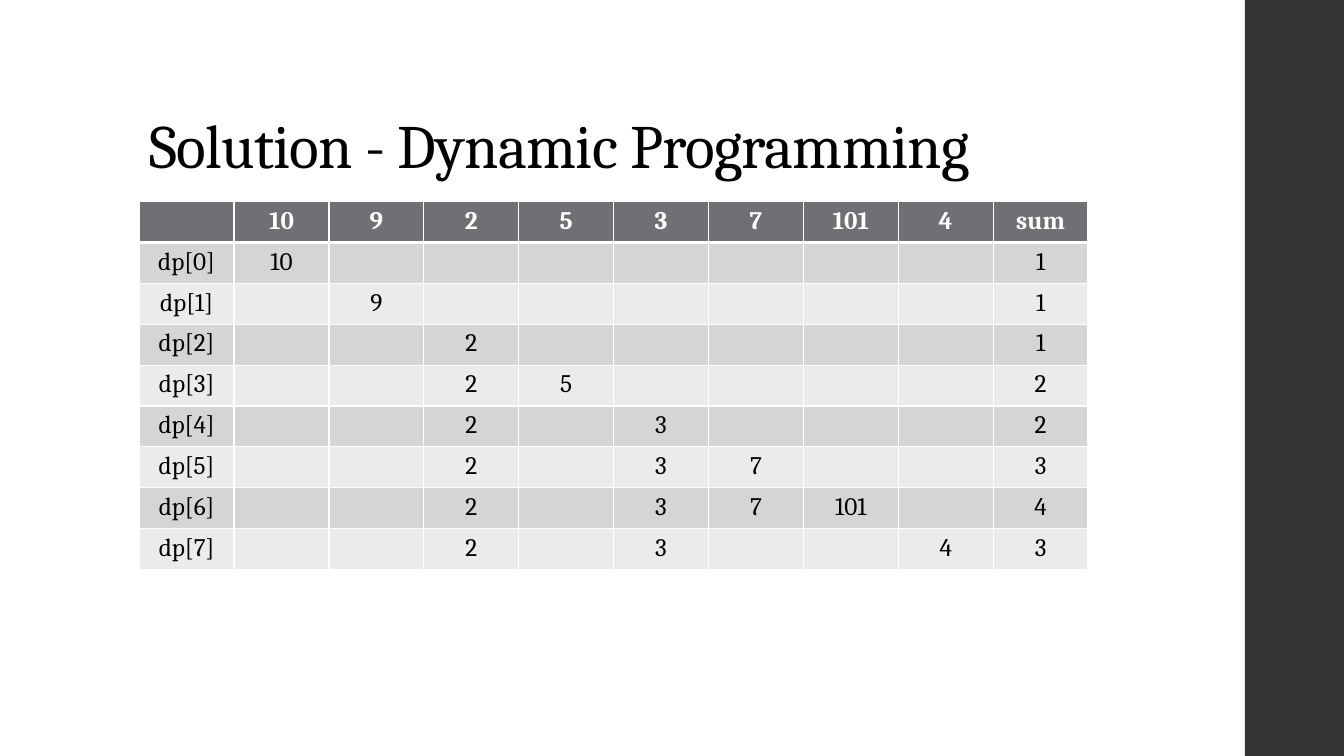
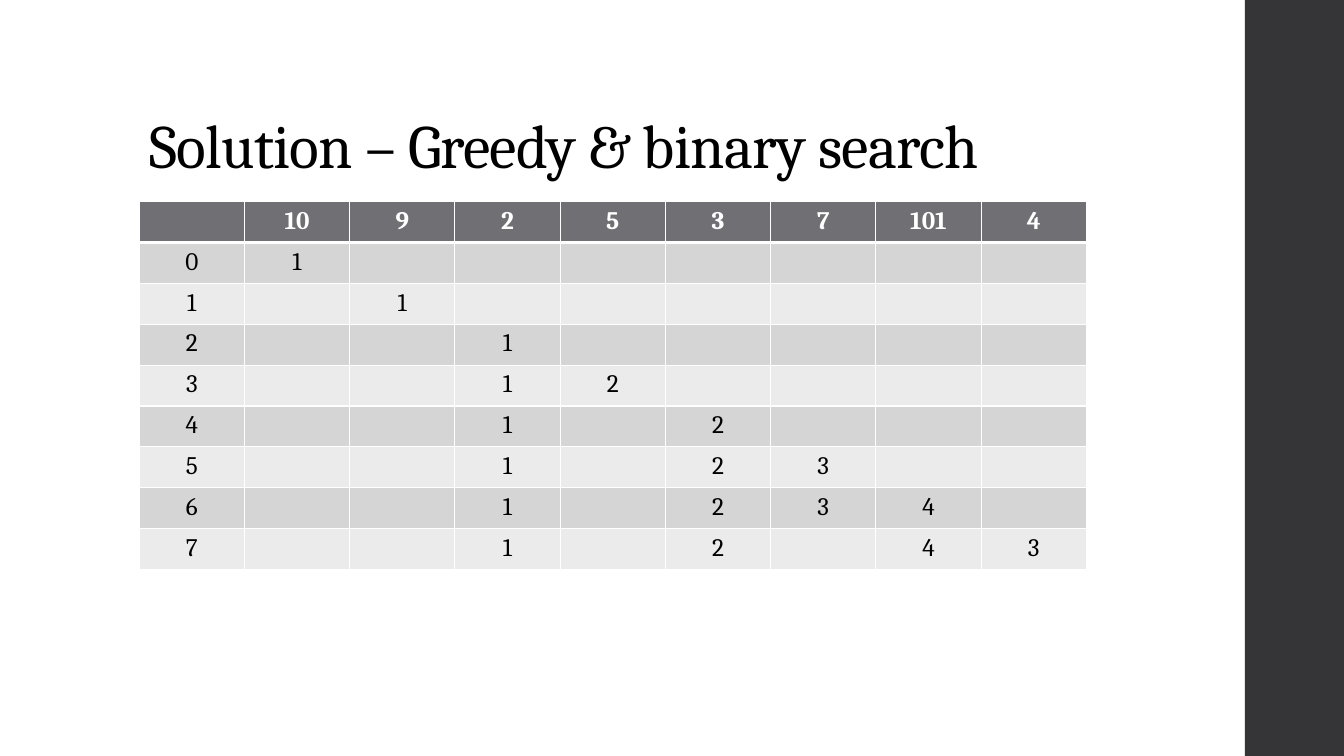
import lxml.etree
import pptx
import pptx.dml.color
import pptx.enum.shapes
import pptx.enum.text
import pptx.oxml.ns
import pptx.util

Pt = pptx.util.Pt
ALIGN = pptx.enum.text.PP_ALIGN
ANCHOR = pptx.enum.text.MSO_ANCHOR

SLIDE_W, SLIDE_H = 960, 540
LEFT = 99.4
BAND_LEFT = 889.2
TITLE_TOP, TITLE_W, TITLE_H = 28.8, 763.2, 104.4
TABLE_TOP, ROW_H = 144, 29.2

FONT = "Cambria"
WHITE, BLACK, BAND = "FFFFFF", "000000", "353537"
HEADER_FILL = "6F6F74"
ROW_FILLS = ("D5D5D6", "EBEBEB")
EMPTY = "-"

DP_ROWS = """
- 10 9 2 5 3 7 101 4 sum
dp[0] 10 - - - - - - - 1
dp[1] - 9 - - - - - - 1
dp[2] - - 2 - - - - - 1
dp[3] - - 2 5 - - - - 2
dp[4] - - 2 - 3 - - - 2
dp[5] - - 2 - 3 7 - - 3
dp[6] - - 2 - 3 7 101 - 4
dp[7] - - 2 - 3 - - 4 3
"""

GREEDY_ROWS = """
- 10 9 2 5 3 7 101 4
0 1 - - - - - - -
1 - 1 - - - - - -
2 - - 1 - - - - -
3 - - 1 2 - - - -
4 - - 1 - 2 - - -
5 - - 1 - 2 3 - -
6 - - 1 - 2 3 4 -
7 - - 1 - 2 - 4 3
"""


def rgb(value):
    """Turn a hex string into a colour."""
    return pptx.dml.color.RGBColor.from_string(value)


def write(tf, text, size=18, color=BLACK, bold=False, align=ALIGN.LEFT,
          line_spacing=None, tracking=None):
    """Write one formatted paragraph into a text frame."""
    p = tf.paragraphs[0]
    p.alignment = align
    if line_spacing is not None:
        p.line_spacing = line_spacing
    r = p.add_run()
    r.text = text
    r.font.name = FONT
    r.font.size = Pt(size)
    r.font.bold = bold
    r.font.color.rgb = rgb(color)
    if tracking is not None:
        r.font._element.set("spc", str(round(tracking * 100)))


def add_band(s):
    """Draw the dark band on the right edge of the slide."""
    sp = s.shapes.add_shape(pptx.enum.shapes.MSO_SHAPE.RECTANGLE, Pt(BAND_LEFT), 0,
                            Pt(SLIDE_W - BAND_LEFT), Pt(SLIDE_H))
    sp.shadow.inherit = False
    sp.fill.solid()
    sp.fill.fore_color.rgb = rgb(BAND)
    sp.line.fill.background()


def add_title(s, text):
    """Add the slide title, resting on the bottom of its box."""
    sp = s.shapes.add_textbox(Pt(LEFT), Pt(TITLE_TOP), Pt(TITLE_W), Pt(TITLE_H))
    tf = sp.text_frame
    tf.word_wrap = True
    tf.vertical_anchor = ANCHOR.BOTTOM
    write(tf, text, size=44, line_spacing=0.9, tracking=-0.5)


def set_borders(cell, top=1, bottom=1):
    """Give a cell white borders of the given widths."""
    qn = pptx.oxml.ns.qn
    tc_pr = cell._tc.get_or_add_tcPr()
    for side, width in (("L", 1), ("R", 1), ("T", top), ("B", bottom)):
        ln = lxml.etree.SubElement(tc_pr, qn(f"a:ln{side}"), w=str(Pt(width)))
        fill = lxml.etree.SubElement(ln, qn("a:solidFill"))
        lxml.etree.SubElement(fill, qn("a:srgbClr"), val=WHITE)


def add_grid(s, source, col_w):
    """Add a table with a header row and alternating row fills."""
    rows = [line.split() for line in source.strip().splitlines()]
    n_rows, n_cols = len(rows), len(rows[0])
    table = s.shapes.add_table(n_rows, n_cols, Pt(LEFT), Pt(TABLE_TOP),
                               Pt(col_w * n_cols), Pt(ROW_H * n_rows)).table
    for col in table.columns:
        col.width = Pt(col_w)
    for i, values in enumerate(rows):
        table.rows[i].height = Pt(ROW_H)
        header = i == 0
        for j, value in enumerate(values):
            cell = table.cell(i, j)
            set_borders(cell, top=3 if i == 1 else 1, bottom=3 if header else 1)
            cell.fill.solid()
            cell.fill.fore_color.rgb = rgb(HEADER_FILL if header else ROW_FILLS[(i - 1) % 2])
            if value != EMPTY:
                write(cell.text_frame, value, color=WHITE if header else BLACK,
                      bold=header, align=ALIGN.CENTER)


def add_solution(prs, title, source, col_w):
    """Add a slide with the band, a title and a table."""
    s = prs.slides.add_slide(prs.slide_layouts[6])
    add_band(s)
    add_title(s, title)
    add_grid(s, source, col_w)


def main():
    """Build and save the presentation."""
    prs = pptx.Presentation()
    prs.slide_width, prs.slide_height = Pt(SLIDE_W), Pt(SLIDE_H)
    add_solution(prs, "Solution - Dynamic Programming", DP_ROWS, 67.8)
    add_solution(prs, "Solution – Greedy & binary search", GREEDY_ROWS, 75.2)
    prs.save("out.pptx")


if __name__ == "__main__":
    main()
